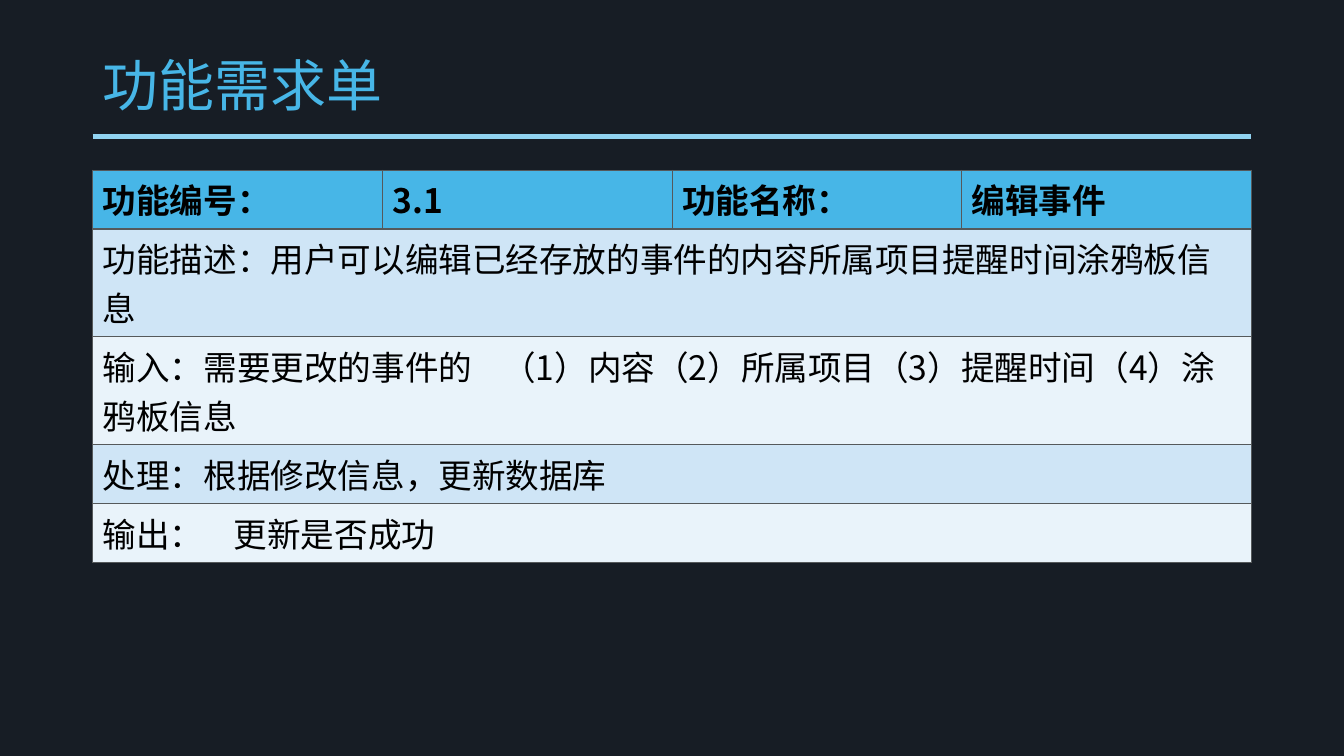
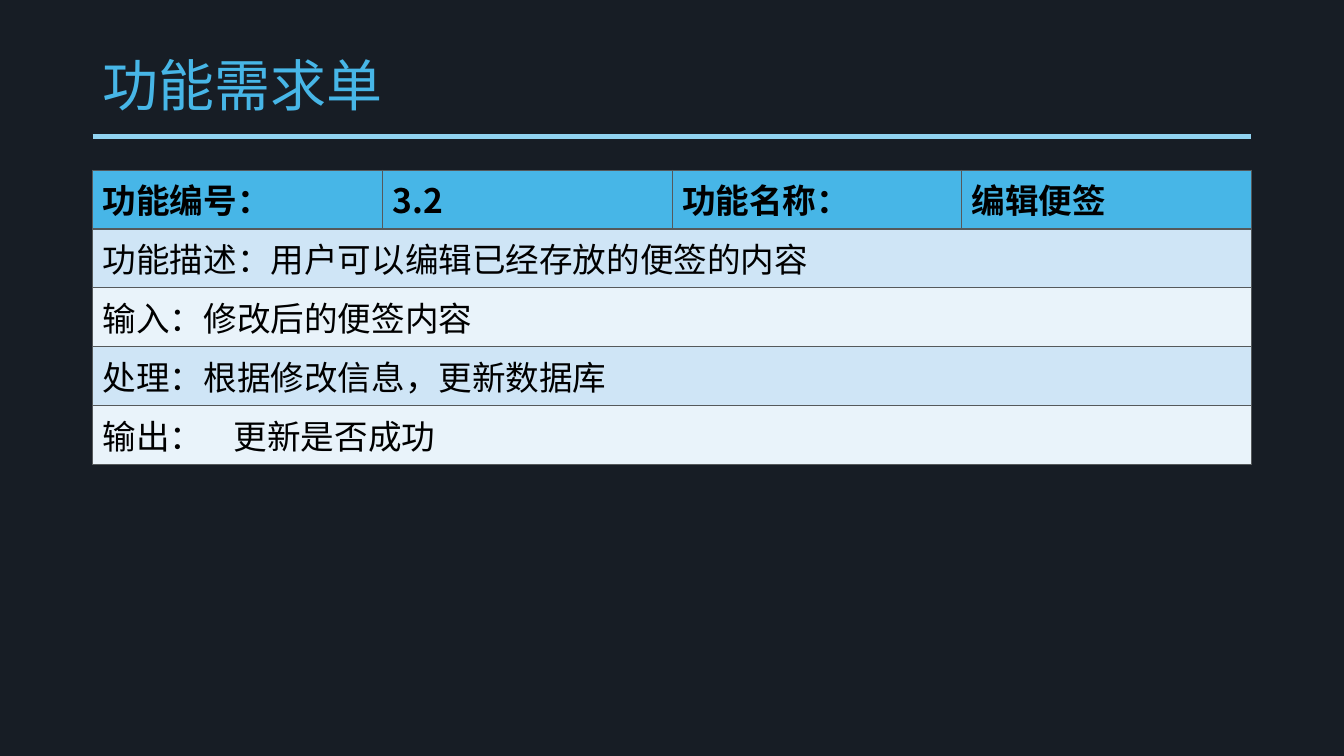
from dataclasses import dataclass

from lxml import etree
from pptx import Presentation
from pptx.dml.color import RGBColor
from pptx.enum.shapes import MSO_CONNECTOR
from pptx.enum.text import MSO_ANCHOR
from pptx.oxml.ns import qn
from pptx.util import Emu, Pt

STRAIGHT = MSO_CONNECTOR.STRAIGHT
MIDDLE = MSO_ANCHOR.MIDDLE

EMU_PER_PX = 4572  # 200 px to the inch
SLIDE_W, SLIDE_H = 2668, 1500
LEFT, WIDTH = 184, 2300
TITLE_TOP, TITLE_H = 80, 190
RULE_Y = 271
TABLE_TOP = 337
COLUMNS = 4
ROW_H, TALL_ROW_H = 117, 214

COLORS = {
    "background": "171D25",
    "title": "47B6E7",
    "rule": "91D3F1",
    "header": "47B6E7",
    "band_dark": "CFE5F6",
    "band_light": "E9F3FA",
    "border": "55595B",
    "text": "000000",
}
TITLE_FONT = "Arial"
TABLE_FONT = "Noto Sans CJK SC"
TITLE_SIZE, TABLE_SIZE = 40, 24
THIN, THICK = 0.45, 1.47


@dataclass(frozen=True)
class Entry:
    """One full-width row; tab_stop places the text that follows a tab."""
    text: str
    tab_stop: int = 0
    height: int = ROW_H


@dataclass(frozen=True)
class Requirement:
    number: str
    name: str
    description: Entry
    inputs: Entry


TITLE = "功能需求单"
PROCESS = Entry("处理：根据修改信息，更新数据库")
OUTPUT = Entry("输出：\t更新是否成功", tab_stop=260)

REQUIREMENTS = (
    Requirement(
        "3.1", "编辑事件",
        Entry("功能描述：用户可以编辑已经存放的事件的内容所属项目提醒时间涂鸦板信息",
              height=TALL_ROW_H),
        Entry("输入：需要更改的事件的\t（1）内容（2）所属项目（3）提醒时间（4）涂鸦板信息",
              tab_stop=793, height=TALL_ROW_H),
    ),
    Requirement(
        "3.2", "编辑便签",
        Entry("功能描述：用户可以编辑已经存放的便签的内容"),
        Entry("输入：修改后的便签内容"),
    ),
)


def px(n: int) -> Emu:
    return Emu(n * EMU_PER_PX)


def rgb(key: str) -> RGBColor:
    return RGBColor.from_string(COLORS[key])


def format_runs(p, font: str, size: int, color: str, bold: bool = False) -> None:
    for r in p.runs:
        r.font.name = font
        r.font.size = Pt(size)
        r.font.bold = bold
        r.font.color.rgb = rgb(color)
        etree.SubElement(r._r.get_or_add_rPr(), qn("a:ea"), typeface=font)


def add_tab_stop(p, pos: int) -> None:
    tabs = etree.SubElement(p._p.get_or_add_pPr(), qn("a:tabLst"))
    etree.SubElement(tabs, qn("a:tab"), pos=str(px(pos)), algn="l")


def set_borders(cell, top: float, bottom: float) -> None:
    tc_pr = cell._tc.get_or_add_tcPr()
    widths = {"lnL": THIN, "lnR": THIN, "lnT": top, "lnB": bottom}
    for tag, width in widths.items():
        ln = etree.SubElement(tc_pr, qn(f"a:{tag}"), w=str(Pt(width)))
        fill = etree.SubElement(ln, qn("a:solidFill"))
        etree.SubElement(fill, qn("a:srgbClr"), val=COLORS["border"])


def add_heading(slide) -> None:
    """Draw the title and the rule below it."""
    rule = slide.shapes.add_connector(
        STRAIGHT, px(LEFT), px(RULE_Y), px(LEFT + WIDTH), px(RULE_Y))
    rule.line.color.rgb = rgb("rule")
    rule.line.width = Pt(3.5)
    etree.SubElement(rule._element.spPr, qn("a:effectLst"))

    box = slide.shapes.add_textbox(px(LEFT), px(TITLE_TOP), px(WIDTH), px(TITLE_H))
    tf = box.text_frame
    tf.word_wrap = True
    tf.vertical_anchor = MIDDLE
    p = tf.paragraphs[0]
    p.text = TITLE
    p.line_spacing = 0.9
    format_runs(p, TITLE_FONT, TITLE_SIZE, "title")


def fill_cell(cell, text: str, bold: bool, tab_stop: int = 0) -> None:
    p = cell.text_frame.paragraphs[0]
    p.text = text
    if tab_stop:
        add_tab_stop(p, tab_stop)
    format_runs(p, TABLE_FONT, TABLE_SIZE, "text", bold)


def add_requirement_table(slide, req: Requirement) -> None:
    entries = (req.description, req.inputs, PROCESS, OUTPUT)
    heights = [ROW_H] + [entry.height for entry in entries]
    table = slide.shapes.add_table(
        len(heights), COLUMNS,
        px(LEFT), px(TABLE_TOP), px(WIDTH), px(sum(heights))).table
    table.horz_banding = False

    for i, (row, height) in enumerate(zip(table.rows, heights)):
        row.height = px(height)
        band = "header" if i == 0 else ("band_light", "band_dark")[i % 2]
        for cell in row.cells:
            set_borders(cell, top=THICK if i == 1 else THIN,
                        bottom=THICK if i == 0 else THIN)
            cell.fill.solid()
            cell.fill.fore_color.rgb = rgb(band)

    header = ("功能编号：", req.number, "功能名称：", req.name)
    for j, text in enumerate(header):
        fill_cell(table.cell(0, j), text, bold=True)
    for i, entry in enumerate(entries, start=1):
        cell = table.cell(i, 0)
        cell.merge(table.cell(i, COLUMNS - 1))
        fill_cell(cell, entry.text, bold=False, tab_stop=entry.tab_stop)


def main() -> None:
    prs = Presentation()
    prs.slide_width, prs.slide_height = px(SLIDE_W), px(SLIDE_H)
    background = prs.slide_master.background.fill
    background.solid()
    background.fore_color.rgb = rgb("background")
    blank = prs.slide_layouts[6]
    for req in REQUIREMENTS:
        slide = prs.slides.add_slide(blank)
        add_heading(slide)
        add_requirement_table(slide, req)
    prs.save("out.pptx")


if __name__ == "__main__":
    main()
